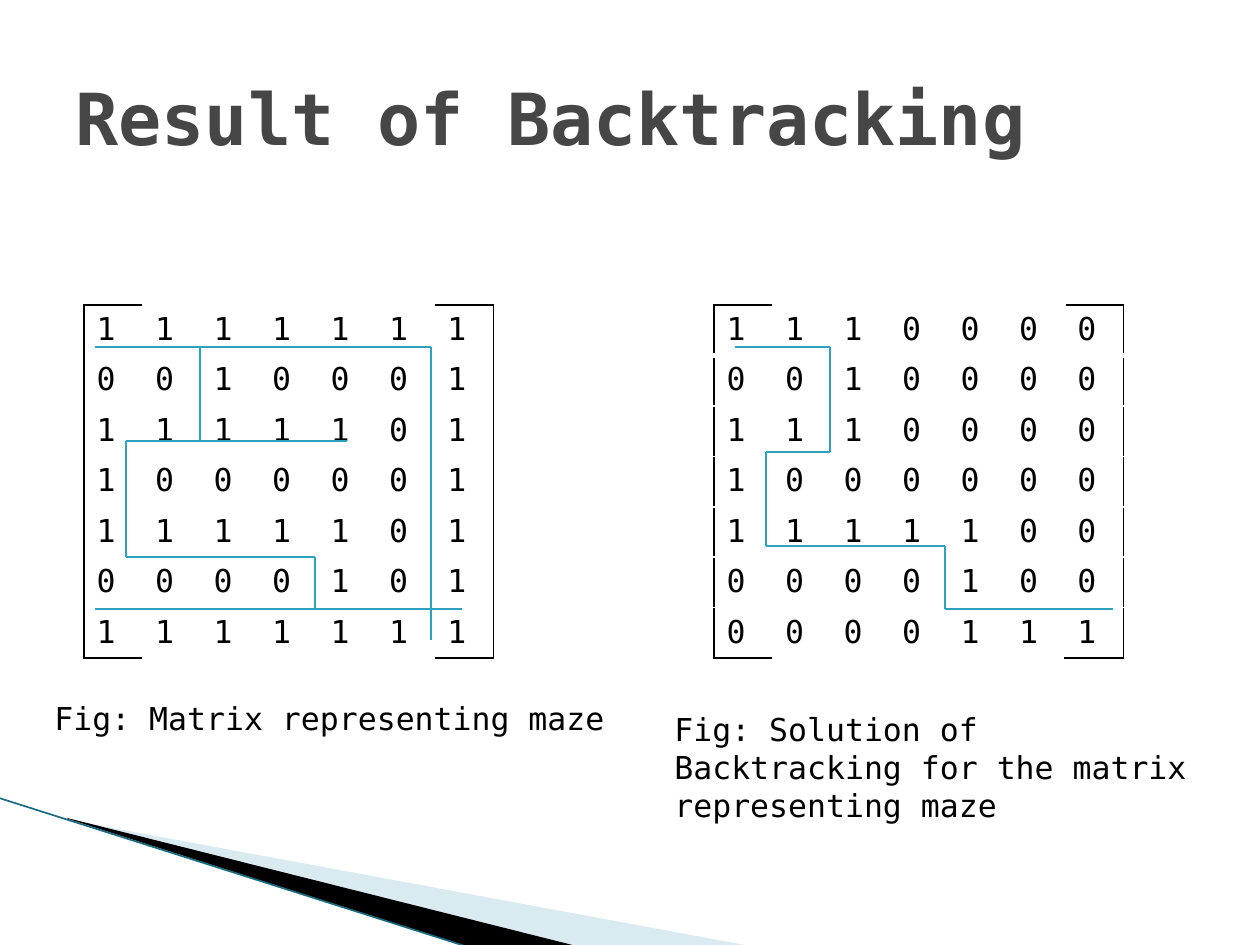
import itertools

import pptx
import pptx.dml.color
import pptx.enum.shapes
import pptx.enum.text
import pptx.oxml
import pptx.oxml.ns
import pptx.util

SCALE = 914400 / 126
FONT = "DejaVu Sans Mono"
COLORS = {
    "title": "464646",
    "ink": "000000",
    "paper": "FFFFFF",
    "path": "2DA2BF",
    "pale": "A0CBDC",
    "edge": "1B6B80",
}
CELL_WIDTH, CELL_HEIGHT = 58.5, 48

MAZE = ["1111111", "0010001", "1111101", "1000001", "1111101", "0000101", "1111111"]
SOLUTION = ["1110000", "0010000", "1110000", "1000000", "1111100", "0000100", "0000111"]

MAZE_PATHS = [
    [(95, 347), (200, 347), (200, 441), (126, 441), (126, 557), (315, 557), (315, 609)],
    [(95, 609), (462, 609)],
    [(200, 441), (347, 441)],
    [(200, 347), (431, 347), (431, 640)],
]
SOLUTION_PATHS = [
    [(735, 347), (830, 347), (830, 452), (766, 452), (766, 546),
     (945, 546), (945, 609), (1113, 609)],
]


def px(length):
    return pptx.util.Emu(round(length * SCALE))


def rgb(name):
    return pptx.dml.color.RGBColor.from_string(COLORS[name])


def add_span(para, text, size, color="ink", bold=False):
    span = para.add_run()
    span.text = text
    span.font.name = FONT
    span.font.size = pptx.util.Pt(size)
    span.font.bold = bold
    span.font.color.rgb = rgb(color)


def add_text(page, text, left, top, width, height, size, color="ink", bold=False,
             anchor=pptx.enum.text.MSO_ANCHOR.TOP):
    box = page.shapes.add_textbox(px(left), px(top), px(width), px(height))
    box.text_frame.word_wrap = True
    box.text_frame.vertical_anchor = anchor
    add_span(box.text_frame.paragraphs[0], text, size, color, bold)


def add_wedge(page, points, color, opacity=100):
    builder = page.shapes.build_freeform(*points[0], scale=SCALE)
    builder.add_line_segments(points[1:], close=True)
    wedge = builder.convert_to_shape()
    wedge.shadow.inherit = False
    wedge.line.fill.background()
    wedge.fill.solid()
    wedge.fill.fore_color.rgb = rgb(color)
    if opacity < 100:
        shade = wedge.fill._xPr.find(".//" + pptx.oxml.ns.qn("a:srgbClr"))
        alpha = pptx.oxml.parse_xml(f'<a:alpha {pptx.oxml.ns.nsdecls("a")} val="{opacity * 1000}"/>')
        shade.append(alpha)


def add_line(page, start, end, color, weight):
    line = page.shapes.add_connector(
        pptx.enum.shapes.MSO_CONNECTOR.STRAIGHT,
        *map(px, start), *map(px, end))
    line.line.color.rgb = rgb(color)
    line.line.width = pptx.util.Pt(weight)
    effects = pptx.oxml.parse_xml(f'<a:effectLst {pptx.oxml.ns.nsdecls("a")}/>')
    line._element.spPr.append(effects)


def add_paths(page, paths):
    for path in paths:
        for start, end in itertools.pairwise(path):
            add_line(page, start, end, "path", 0.75)


def set_border(cell, side, color, weight):
    """Draw one side (L, R, T or B) of a cell, or clear it when color is None."""
    paint = "<a:noFill/>"
    if color:
        paint = f'<a:solidFill><a:srgbClr val="{COLORS[color]}"/></a:solidFill>'
    border = pptx.oxml.parse_xml(
        f'<a:ln{side} {pptx.oxml.ns.nsdecls("a")} w="{pptx.util.Pt(weight)}">{paint}</a:ln{side}>')
    cell._tc.get_or_add_tcPr().append(border)


def add_matrix(page, rows, left, top, grid_color):
    """Draw digits inside square brackets made of the outer cell borders."""
    last_row, last_col = len(rows) - 1, len(rows[0]) - 1
    frame = page.shapes.add_table(
        len(rows), len(rows[0]), px(left), px(top),
        px(CELL_WIDTH * len(rows[0])), px(CELL_HEIGHT * len(rows)))
    table = frame.table
    table.first_row = table.horz_banding = False
    for column in table.columns:
        column.width = px(CELL_WIDTH)
    for r, digits in enumerate(rows):
        table.rows[r].height = px(CELL_HEIGHT)
        for c, digit in enumerate(digits):
            cell = table.cell(r, c)
            add_span(cell.text_frame.paragraphs[0], digit, 18)
            corner = c in (0, last_col)
            bracket = {
                "L": c == 0,
                "R": c == last_col,
                "T": corner and r == 0,
                "B": corner and r == last_row,
            }
            for side, inked in bracket.items():
                below_first = side == "B" and r == 0 or side == "T" and r == 1
                weight = 3 if below_first and grid_color else 1
                set_border(cell, side, "ink" if inked else grid_color, weight)
            cell.fill.background()


def add_corner_decoration(page):
    add_wedge(page, [(69, 820), (750, 946), (575, 946), (69, 819)], "pale", 40)
    add_wedge(page, [(67, 818), (576, 946), (469, 947), (68, 819)], "ink")
    add_line(page, (-1, 798), (468, 947), "edge", 0.95)


def main():
    deck = pptx.Presentation()
    deck.slide_width, deck.slide_height = px(1260), px(945)
    page = deck.slides.add_slide(deck.slide_layouts[6])

    add_corner_decoration(page)
    add_text(page, "Result of Backtracking", 63, 38, 1134, 158, 41, "title", True,
             pptx.enum.text.MSO_ANCHOR.MIDDLE)
    add_matrix(page, SOLUTION, 714, 305, "paper")
    add_matrix(page, MAZE, 84, 305, None)
    add_paths(page, MAZE_PATHS + SOLUTION_PATHS)
    add_text(page, "Fig: Matrix representing maze", 42, 693, 588, 50, 18)
    add_text(page, "Fig: Solution of Backtracking for the matrix representing maze",
             662, 704, 546, 90, 18)
    deck.save("out.pptx")


if __name__ == "__main__":
    main()
